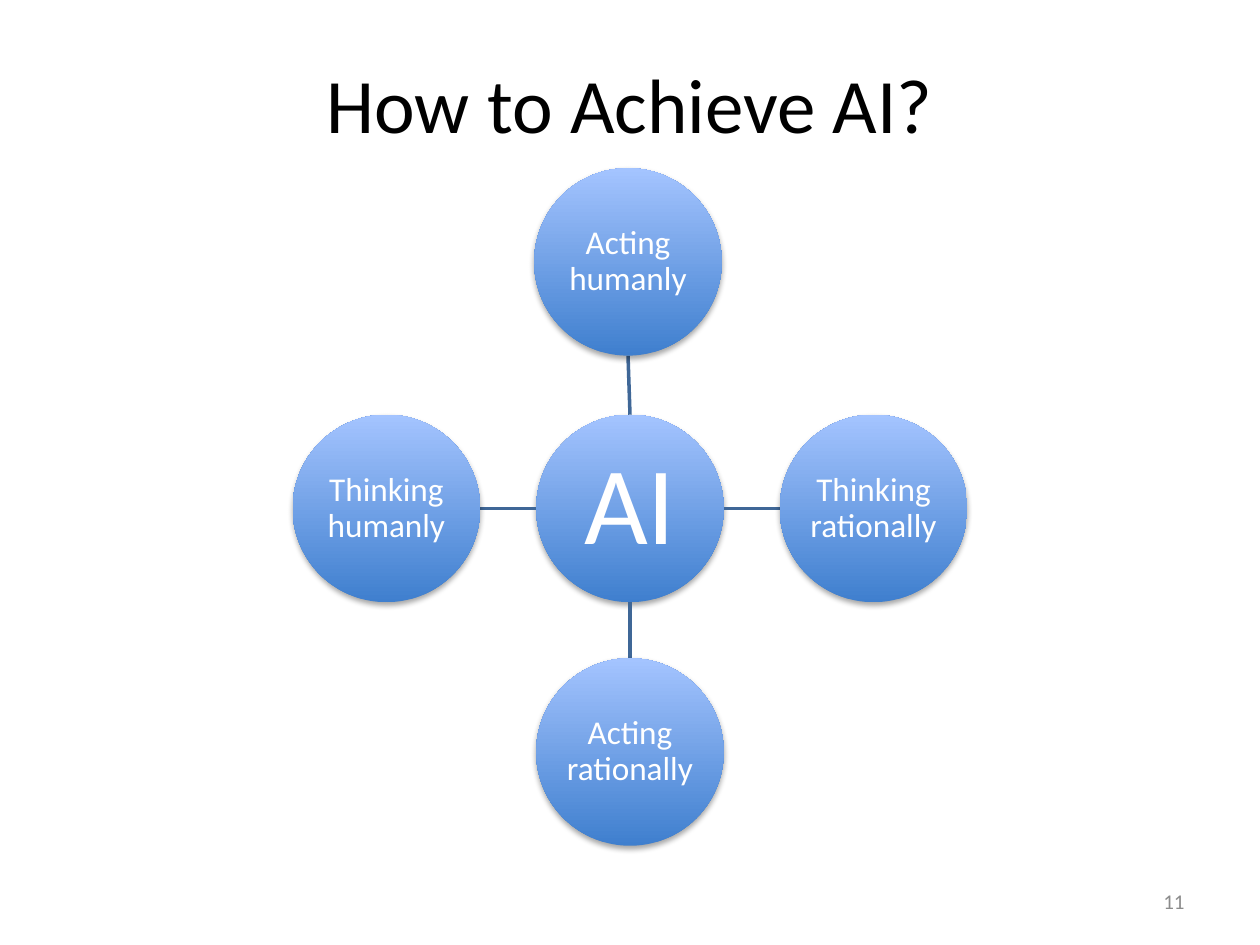
from lxml import etree
from pptx import Presentation
from pptx.dml.color import RGBColor
from pptx.enum.shapes import MSO_CONNECTOR, MSO_SHAPE
from pptx.enum.text import MSO_ANCHOR, PP_ALIGN
from pptx.oxml.ns import qn
from pptx.util import Cm, Pt

STRAIGHT = MSO_CONNECTOR.STRAIGHT
OVAL = MSO_SHAPE.OVAL
MIDDLE = MSO_ANCHOR.MIDDLE
CENTER, RIGHT = PP_ALIGN.CENTER, PP_ALIGN.RIGHT

FONT = "Calibri"
COLORS = {
    "title": "000000",
    "node_text": "FFFFFF",
    "node_bottom": "3F7FCE",
    "node_top": "A4C4FF",
    "spoke": "3F6797",
    "shadow": "000000",
    "number": "8C8C8C",
}

DIAMETER = 3.78
# label, direction from the hub, offset of the centre from the hub (cm)
SPOKES = [
    ("Acting humanly", (0, -1), (-0.04, -4.97)),
    ("Thinking rationally", (1, 0), (4.91, 0)),
    ("Acting rationally", (0, 1), (0, 4.91)),
    ("Thinking humanly", (-1, 0), (-4.91, 0)),
]


def color(name):
    return RGBColor.from_string(COLORS[name])


def write_text(shape, text, size, color_name, align=CENTER, inset=None, spacing=None):
    frame = shape.text_frame
    frame.word_wrap = True
    frame.vertical_anchor = MIDDLE
    if inset is not None:
        frame.margin_left = frame.margin_right = Cm(inset)
        frame.margin_top = frame.margin_bottom = Cm(inset)
    para = frame.paragraphs[0]
    para.alignment = align
    if spacing:
        para.line_spacing = spacing
    span = para.add_run()
    span.text = text
    span.font.name = FONT
    span.font.size = Pt(size)
    span.font.color.rgb = color(color_name)


def add_soft_shadow(shape):
    effects = etree.SubElement(shape._element.spPr, qn("a:effectLst"))
    shadow = etree.SubElement(effects, qn("a:outerShdw"), blurRad="40000",
                              dist="23000", dir="5400000", rotWithShape="0")
    tint = etree.SubElement(shadow, qn("a:srgbClr"), val=COLORS["shadow"])
    etree.SubElement(tint, qn("a:alpha"), val="35000")


def add_node(page, center_x, center_y, text, size, inset):
    radius = DIAMETER / 2
    node = page.shapes.add_shape(OVAL, Cm(center_x - radius), Cm(center_y - radius),
                                 Cm(DIAMETER), Cm(DIAMETER))
    node.fill.gradient()
    node.fill.gradient_angle = 90
    for stop, name in zip(node.fill.gradient_stops, ("node_bottom", "node_top")):
        stop.color.rgb = color(name)
    # Stops span the full height of the circle
    node.fill.gradient_stops[0].position = 0
    node.fill.gradient_stops[1].position = 1
    node.line.fill.background()
    add_soft_shadow(node)
    write_text(node, text, size, "node_text", inset=inset, spacing=0.9)


def add_spoke(page, start, end):
    spoke = page.shapes.add_connector(STRAIGHT, *map(Cm, start + end))
    spoke.line.color.rgb = color("spoke")
    spoke.line.width = Pt(2)
    etree.SubElement(spoke._element.spPr, qn("a:effectLst"))


def add_radial_diagram(page, hub_x, hub_y):
    """Draw the hub circle and its four spokes around the given centre."""
    radius = DIAMETER / 2
    add_node(page, hub_x, hub_y, "AI", 63, inset=0.1)
    for label, (step_x, step_y), (shift_x, shift_y) in SPOKES:
        x, y = hub_x + shift_x, hub_y + shift_y
        add_spoke(page,
                  (hub_x + step_x * radius, hub_y + step_y * radius),
                  (x - step_x * radius, y - step_y * radius))
        add_node(page, x, y, label, 19, inset=0.03)


def add_title(page, left, top, width, height):
    title = page.shapes.title
    title.left, title.top = Cm(left), Cm(top)
    title.width, title.height = Cm(width), Cm(height)
    write_text(title, "How to Achieve AI?", 44, "title")


def add_page_number(page, left, top, width, height):
    box = page.shapes.add_textbox(Cm(left), Cm(top), Cm(width), Cm(height))
    write_text(box, "11", 12, "number", align=RIGHT)


def main():
    deck = Presentation()
    deck.slide_width, deck.slide_height = Cm(25.4), Cm(19.05)
    page = deck.slides.add_slide(deck.slide_layouts[5])
    add_title(page, 1.27, 0.76, 22.86, 2.62)
    add_radial_diagram(page, 12.7, 10.25)
    add_page_number(page, 18.21, 17.65, 5.92, 1.02)
    deck.save("out.pptx")


if __name__ == "__main__":
    main()
